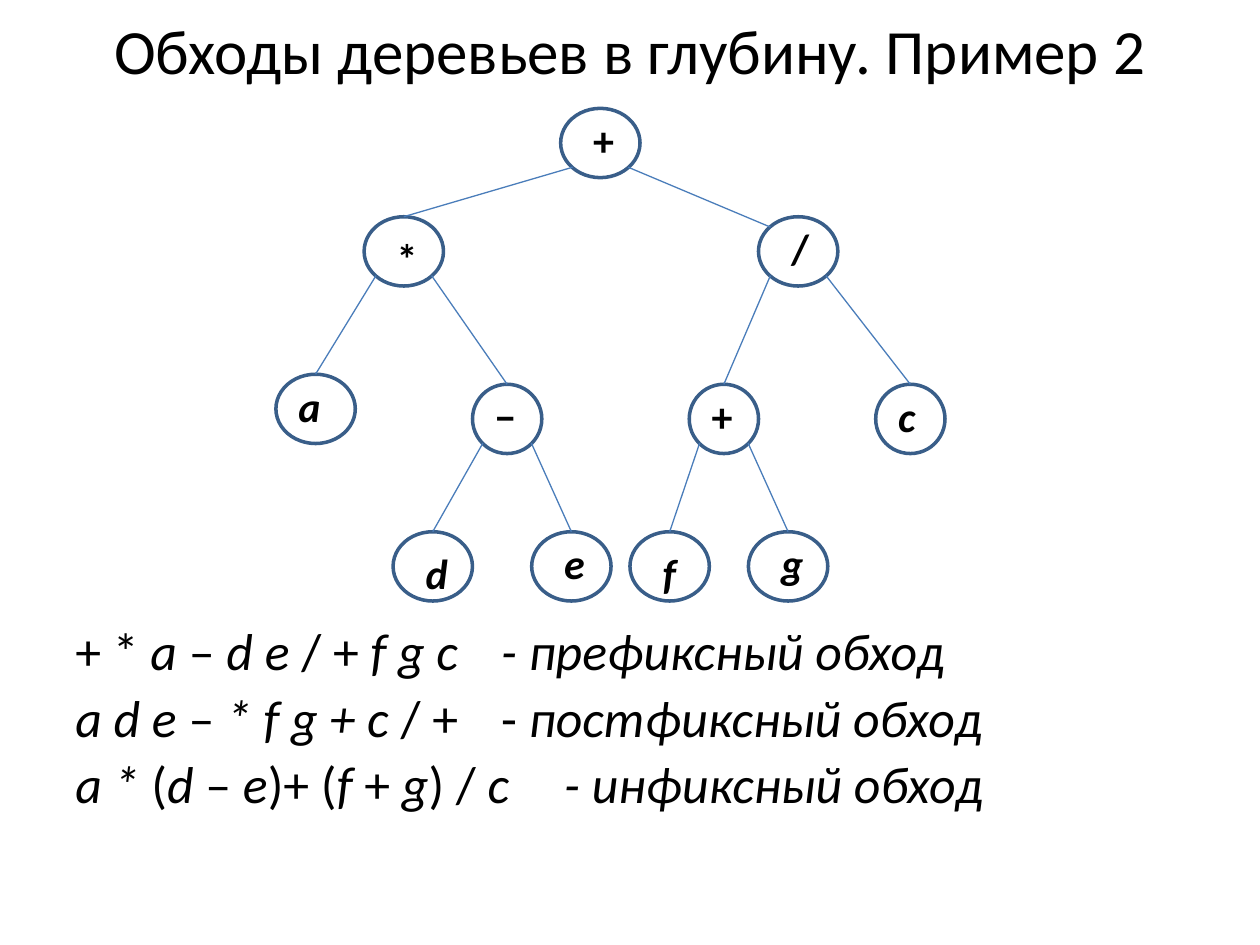
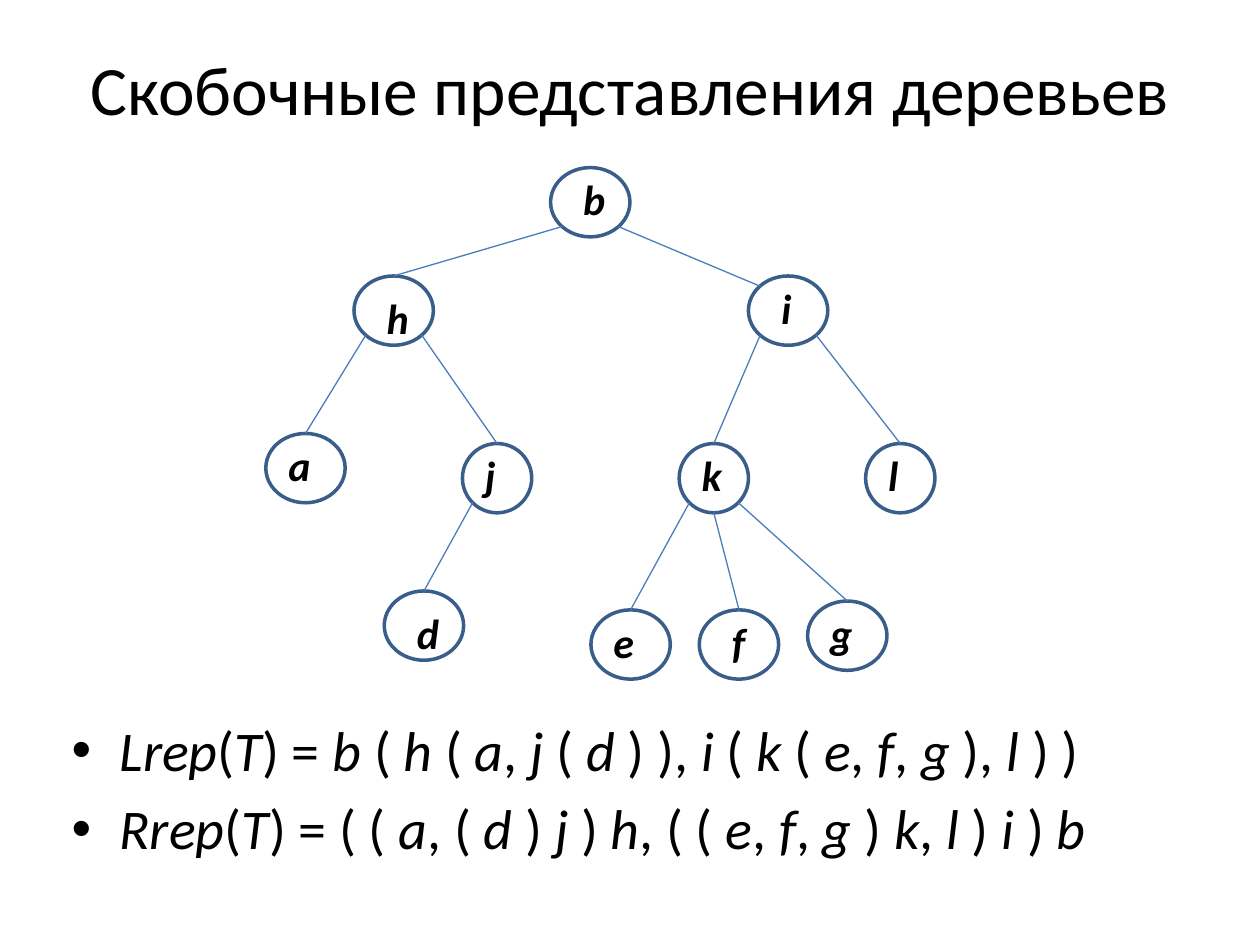
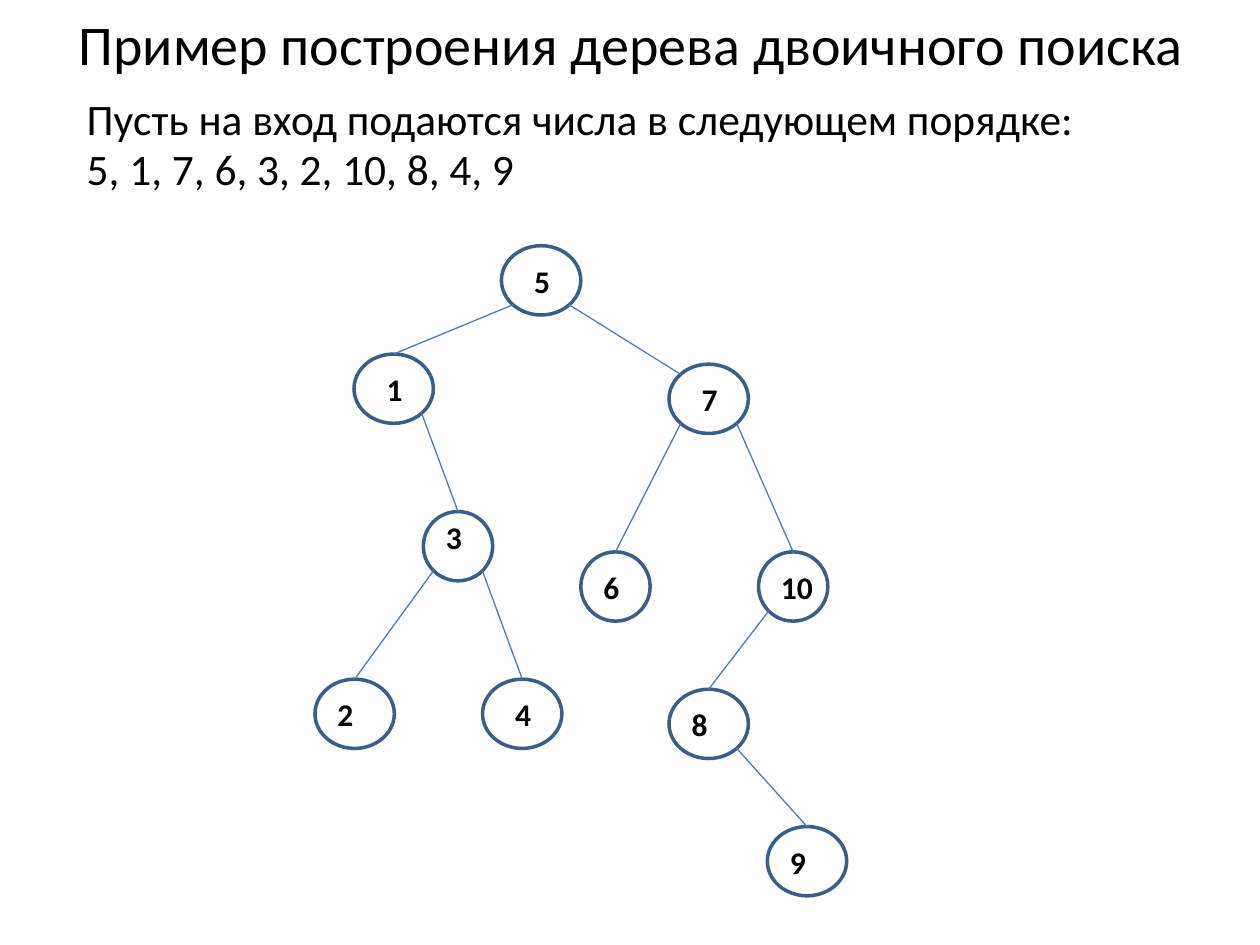
from dataclasses import dataclass

from lxml.etree import SubElement
from pptx import Presentation
from pptx.dml.color import RGBColor
from pptx.enum.shapes import MSO_CONNECTOR as Connector, MSO_SHAPE as Shape
from pptx.enum.text import MSO_ANCHOR as Anchor, MSO_AUTO_SIZE as AutoSize, PP_ALIGN as Align
from pptx.oxml.ns import qn
from pptx.util import Inches, Pt

BLACK = RGBColor(0x00, 0x00, 0x00)
NODE_LINE = RGBColor(0x39, 0x5E, 0x89)
BRANCH_LINE = RGBColor(0x4A, 0x7D, 0xBA)
FONT = "Calibri"
HANGING = 0.38

NODE_HEIGHT = 0.55
WIDE, NARROW = 0.63, 0.55
NEAR, FAR, LOW = 0.08, 0.16, 0.08
LABEL_HEIGHTS = {24: 0.5, 18: 0.4}
DEFAULT_LABEL_WIDTHS = {24: 0.37, 18: 0.33}
LABEL_WIDTHS = {"/": 0.35, "a": 0.38, "b": 0.39, "c": 0.34, "d": 0.38, "f": 0.31, "g": 0.35,
                "h": 0.38, "i": 0.28, "j": 0.29, "l": 0.28, "10": 0.46}

TOP, BOTTOM = (0.5, 0), (0.5, 1)
TOP_LEFT, BOTTOM_LEFT, BOTTOM_RIGHT = (0.15, 0.15), (0.15, 0.85), (0.85, 0.85)


@dataclass
class Node:
    """A tree node placed relative to its tree, with the branch that reaches it."""
    label: str
    left: float
    top: float
    parent: int = -1
    leave: tuple = BOTTOM_LEFT
    arrive: tuple = TOP
    width: float = WIDE
    shift: float = FAR
    drop: float = 0


def crown(labels):
    """Return the seven upper nodes shared by the two expression trees."""
    root, left, right, leaf, inner_left, inner_right, last = labels
    return [
        Node(root, 2.26, 0),
        Node(left, 0.7, 0.86, 0, drop=LOW),
        Node(right, 3.83, 0.86, 0, BOTTOM_RIGHT, TOP_LEFT),
        Node(leaf, 0, 2.11, 1, shift=NEAR),
        Node(inner_left, 1.56, 2.19, 1, BOTTOM_RIGHT, width=NARROW, shift=NEAR),
        Node(inner_right, 3.28, 2.19, 2, width=NARROW, shift=NEAR),
        Node(last, 4.76, 2.19, 2, BOTTOM_RIGHT, width=NARROW, shift=NEAR),
    ]


TRAVERSAL_TREE = crown("+*/a−+c") + [
    Node("d", 0.93, 3.36, 4, drop=LOW),
    Node("e", 2.03, 3.36, 4, BOTTOM_RIGHT),
    Node("f", 2.81, 3.36, 5, drop=LOW),
    Node("g", 3.75, 3.36, 5, BOTTOM_RIGHT),
]
BRACKET_TREE = crown("bhiajkl") + [
    Node("d", 0.94, 3.36, 4, drop=LOW),
    Node("e", 2.58, 3.51, 5, shift=NEAR),
    Node("f", 3.44, 3.51, 5, BOTTOM),
    Node("g", 4.3, 3.44, 5, BOTTOM_RIGHT, shift=NEAR),
]
SEARCH_TREE = [
    Node("5", 1.48, 0, drop=LOW),
    Node("1", 0.31, 0.86, 0, drop=LOW),
    Node("7", 2.81, 0.94, 0, BOTTOM_RIGHT, TOP_LEFT, drop=LOW),
    Node("3", 0.86, 2.11, 1, BOTTOM_RIGHT, width=NARROW, shift=NEAR),
    Node("6", 2.11, 2.43, 2, width=NARROW, shift=NEAR, drop=LOW),
    Node("10", 3.52, 2.43, 2, BOTTOM_RIGHT, width=NARROW, shift=NEAR, drop=LOW),
    Node("2", 0, 3.44, 3, shift=NEAR, drop=LOW),
    Node("4", 1.33, 3.44, 3, BOTTOM_RIGHT, drop=LOW),
    Node("8", 2.81, 3.52, 5, shift=NEAR, drop=LOW),
    Node("9", 3.59, 4.61, 8, BOTTOM_RIGHT, shift=NEAR, drop=LOW),
]


def write_text(para, text, size, bold=False, italic=False):
    """Fill a paragraph, switching italics at each underscore."""
    for index, part in enumerate(text.split("_")):
        if part:
            span = para.add_run()
            span.text = part
            font = span.font
            font.name, font.size, font.bold = FONT, Pt(size), bold
            font.italic = italic != (index % 2 == 1)
            font.color.rgb = BLACK


def add_text_box(page, box):
    """Add a wrapping text box and return its text frame."""
    frame = page.shapes.add_textbox(*map(Inches, box)).text_frame
    frame.word_wrap = True
    return frame


def add_title(page, text, box, size):
    """Move and format the title placeholder."""
    title = page.shapes.title
    title.left, title.top, title.width, title.height = map(Inches, box)
    frame = title.text_frame
    frame.auto_size = AutoSize.NONE
    frame.vertical_anchor = Anchor.MIDDLE
    para = frame.paragraphs[0]
    para.alignment = Align.CENTER
    write_text(para, text, size)


def add_body(page, lines, box, size, line_spacing=1.0, gap=0, bullet=None):
    """Write lines with a hanging indent and optional bullets."""
    frame = add_text_box(page, box)
    for index, line in enumerate(lines):
        para = frame.add_paragraph() if index else frame.paragraphs[0]
        para.line_spacing = line_spacing
        if index:
            para.space_before = Pt(gap)
        properties = para._p.get_or_add_pPr()
        properties.set("marL", str(Inches(HANGING)))
        properties.set("indent", str(-Inches(HANGING)))
        if bullet:
            SubElement(properties, qn("a:buFont")).set("typeface", "Arial")
            SubElement(properties, qn("a:buChar")).set("char", bullet)
        write_text(para, line, size)


def point_on(oval, side):
    """Return the point at a fraction of an oval's width and height."""
    across, down = side
    return oval.left + round(oval.width * across), oval.top + round(oval.height * down)


def add_oval(page, node, left, top):
    """Draw the outline of one node."""
    oval = page.shapes.add_shape(Shape.OVAL, Inches(left + node.left), Inches(top + node.top),
                                 Inches(node.width), Inches(NODE_HEIGHT))
    oval.shadow.inherit = False
    oval.fill.background()
    oval.line.color.rgb = NODE_LINE
    oval.line.width = Pt(2)
    return oval


def add_branch(page, parent, child, node):
    """Join a node to its parent."""
    branch = page.shapes.add_connector(Connector.STRAIGHT, *point_on(parent, node.leave),
                                       *point_on(child, node.arrive))
    if node.arrive == TOP:
        branch.end_connect(child, 0)
    branch.line.color.rgb = BRANCH_LINE
    branch.line.width = Pt(0.75)
    SubElement(branch._element.spPr, qn("a:effectLst"))


def add_tree(page, nodes, left, top, size):
    """Draw a tree whose upper left corner is at the given place."""
    ovals = [add_oval(page, node, left, top) for node in nodes]
    for node, oval in zip(nodes, ovals):
        if node.parent >= 0:
            add_branch(page, ovals[node.parent], oval, node)
    for node in nodes:
        width = LABEL_WIDTHS.get(node.label, DEFAULT_LABEL_WIDTHS[size])
        frame = add_text_box(page, (left + node.left + node.shift, top + node.top + node.drop,
                                    width, LABEL_HEIGHTS[size]))
        write_text(frame.paragraphs[0], node.label, size, bold=True, italic=node.label.isalpha())


def add_page(deck):
    """Add a title-only slide."""
    return deck.slides.add_slide(deck.slide_layouts[5])


def build_traversal_page(deck):
    """Build the slide on depth-first traversals."""
    page = add_page(deck)
    add_title(page, "Обходы деревьев в глубину. Пример 2", (0.5, 0.16, 9, 0.47), 36)
    add_body(page, [
        "+ * _a_ – _d e _/ + _f g c\t- префиксный обход",
        "_a d e _–_ * f g + c _/ +\t- _постфиксный обход",
        "_a * _(_d _–_ e_)+ (_f _+_ g_) /_ c \t- инфиксный обход",
    ], (0.5, 4.92, 9, 1.78), 29.6, line_spacing=0.9, gap=5.9)
    add_tree(page, TRAVERSAL_TREE, 2.19, 0.86, 24)


def build_bracket_page(deck):
    """Build the slide on bracket notation."""
    page = add_page(deck)
    add_title(page, "Скобочные представления деревьев", (0.5, 0.3, 9, 0.79), 39.6)
    add_body(page, [
        "_Lrep_(_T_) = _b _( _h _( _a_, _j _( _d _) ), _i _( _k _( _e_, _f_, _g _), _l _) )",
        "_Rrep_(_T_) = ( ( _a_, ( _d _) _j _) _h_, ( ( _e_, _f_, _g _) _k_, _l _) _i _) _b",
    ], (0.47, 5.63, 8.98, 1.56), 32, gap=6.4, bullet="•")
    add_tree(page, BRACKET_TREE, 2.11, 1.33, 24)


def build_search_page(deck):
    """Build the slide on the binary search tree."""
    page = add_page(deck)
    add_title(page, "Пример построения дерева двоичного поиска", (0.51, 0, 9, 0.69), 32)
    add_body(page, [
        "Пусть на вход подаются числа в следующем порядке:",
        "5, 1, 7, 6, 3, 2, 10, 8, 4, 9",
    ], (0.59, 0.76, 9, 0.91), 24.8, line_spacing=0.8, gap=5)
    add_tree(page, SEARCH_TREE, 2.5, 1.95, 18)


def main():
    """Build and save the deck."""
    deck = Presentation()
    deck.slide_width, deck.slide_height = Inches(10), Inches(7.5)
    build_traversal_page(deck)
    build_bracket_page(deck)
    build_search_page(deck)
    deck.save("out.pptx")


if __name__ == "__main__":
    main()
